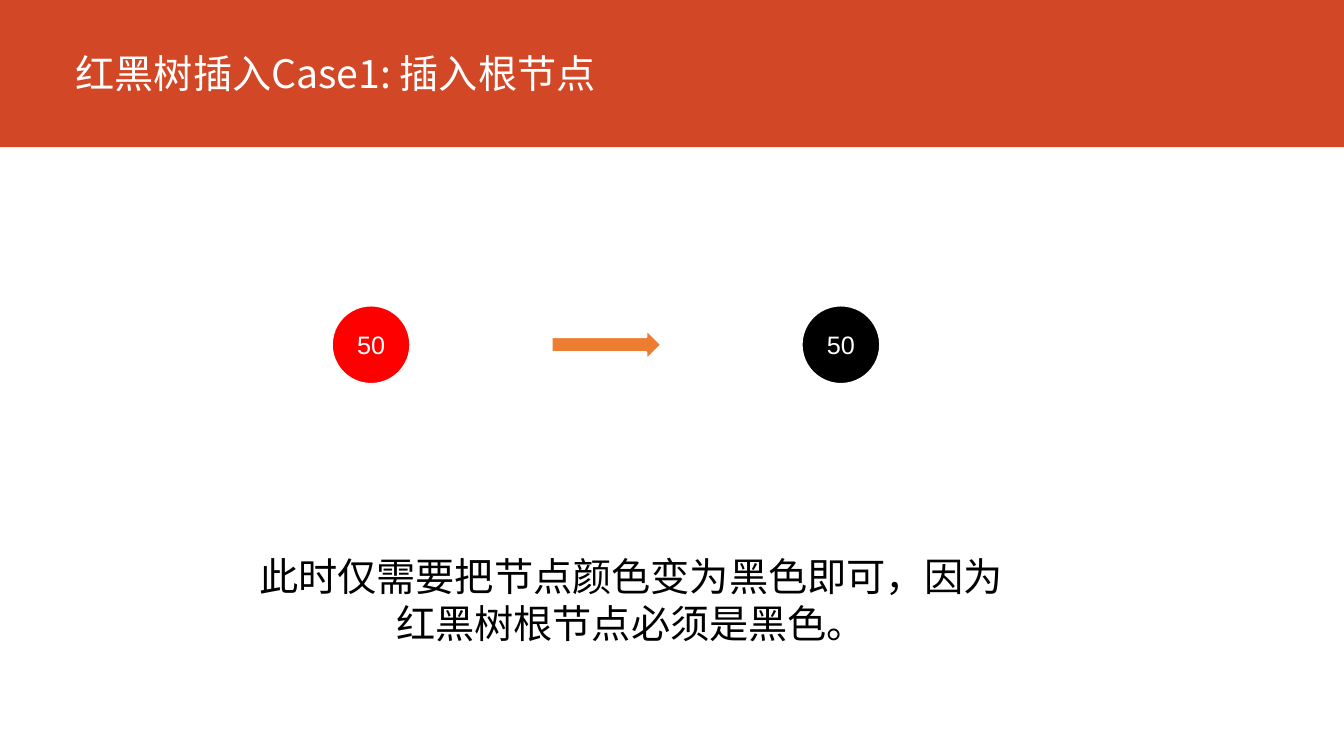
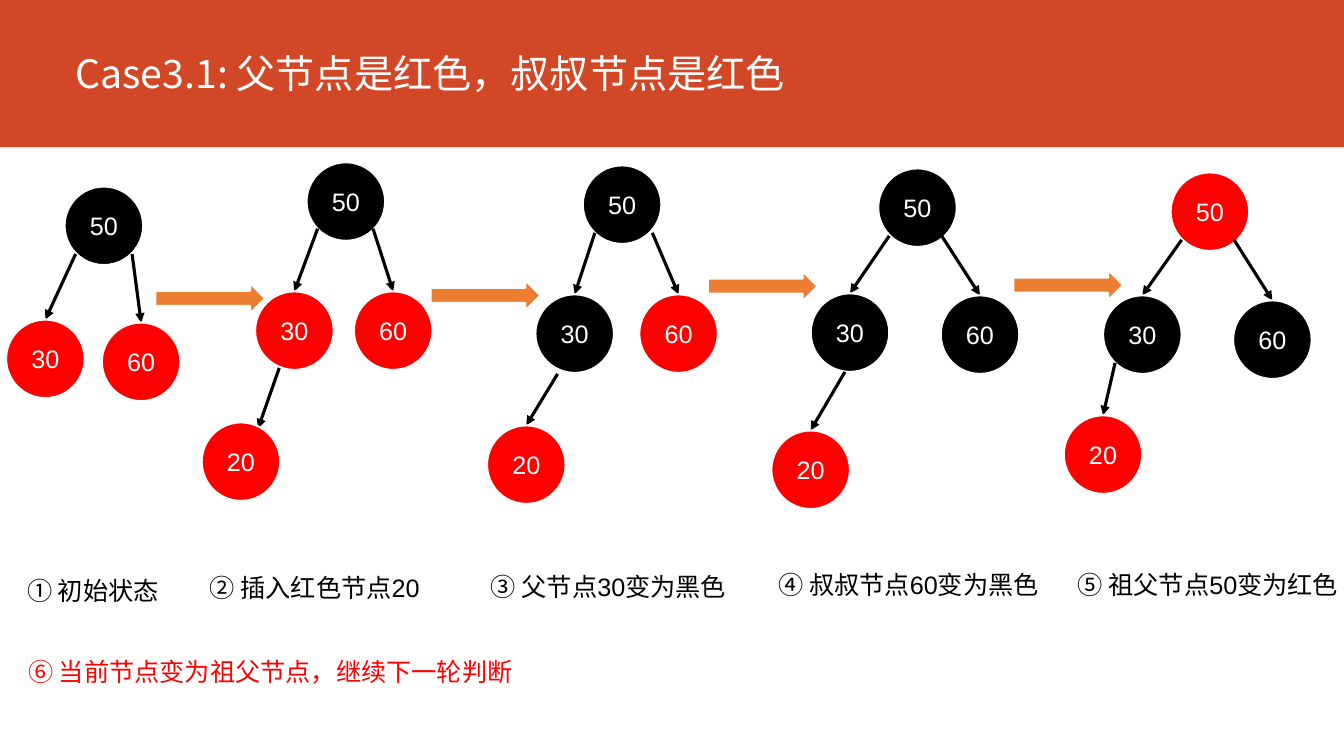
"""Red-black tree insertion: the root case and the red-uncle case."""
from lxml import etree
from pptx import Presentation
from pptx import util as u
from pptx.dml.color import RGBColor
from pptx.enum import shapes, text
from pptx.oxml.ns import qn

BAND, RED, BLACK, WHITE, ORANGE = "D24726", "FF0000", "000000", "FFFFFF", "ED7D31"
CJK = "Noto Sans CJK SC"
D = 0.78
ARROW_W, ARROW_H = 1.09, 0.3
KINDS = shapes.MSO_SHAPE


def add_shape(s, kind, x, y, w, h, fill, line=None):
    """Add a flat preset shape, sized in inches."""
    sp = s.shapes.add_shape(kind, *map(u.Inches, (x, y, w, h)))
    sp.shadow.inherit = False
    sp.fill.solid()
    sp.fill.fore_color.rgb = RGBColor.from_string(fill)
    if line:
        sp.line.color.rgb = RGBColor.from_string(line)
        sp.line.width = u.Pt(1.5)
    else:
        sp.line.fill.background()
    return sp


def write(sp, lines, size, color, align, anchor, font="Arial"):
    """Fill a shape with one paragraph per line."""
    tf = sp.text_frame
    tf.word_wrap = True
    tf.auto_size = text.MSO_AUTO_SIZE.NONE
    tf.vertical_anchor = anchor
    for i, line in enumerate(lines):
        p = tf.paragraphs[0] if i == 0 else tf.add_paragraph()
        p.alignment = align
        r = p.add_run()
        r.text = line
        r.font.size = u.Pt(size)
        r.font.name = font
        r.font.color.rgb = RGBColor.from_string(color)
        etree.SubElement(r.font._element, qn("a:ea")).set("typeface", CJK)
    return tf


LEFT, CENTER = text.PP_ALIGN.LEFT, text.PP_ALIGN.CENTER
TOP, MIDDLE, BOTTOM = text.MSO_ANCHOR.TOP, text.MSO_ANCHOR.MIDDLE, text.MSO_ANCHOR.BOTTOM

prs = Presentation()
prs.slide_width, prs.slide_height = u.Inches(13.33), u.Inches(7.5)
layout = prs.slide_layouts[5]

# Each node: value, left, top, colour, edge start and edge end (None for a root).
slides = [
    dict(
        title="红黑树插入Case1: 插入根节点", title_w=11.76,
        nodes=[("50", 3.29, 3.03, RED, None, None),
               ("50", 7.95, 3.03, BLACK, None, None)],
        arrows=[(5.47, 3.27)],
        notes=[(2.43, 5.43, 7.66, 1.04, 28, BLACK, CENTER,
                ["此时仅需要把节点颜色变为黑色即可，因为", "红黑树根节点必须是黑色。"])],
    ),
    dict(
        title="Case3.1: 父节点是红色，叔叔节点是红色", title_w=10.69,
        nodes=[
            ("50", 0.64, 1.85, BLACK, None, None),
            ("30", 0.06, 3.17, RED, (0.75, 2.52), None),
            ("60", 1.01, 3.2, RED, (1.31, 2.52), None),
            ("50", 3.04, 1.61, BLACK, None, None),
            ("30", 2.53, 2.89, RED, (3.15, 2.27), None),
            ("60", 3.51, 2.89, RED, (3.7, 2.27), None),
            ("20", 2, 4.19, RED, (2.77, 3.65), (2.56, 4.25)),
            ("50", 5.78, 1.64, BLACK, None, None),
            ("30", 5.31, 2.92, BLACK, (5.9, 2.31), None),
            ("60", 6.34, 2.92, RED, (6.47, 2.31), None),
            ("20", 4.83, 4.22, RED, (5.53, 3.71), None),
            ("50", 8.71, 1.67, BLACK, None, None),
            ("30", 8.04, 2.91, BLACK, (8.82, 2.34), None),
            ("60", 9.33, 2.93, BLACK, (9.34, 2.34), None),
            ("20", 7.65, 4.27, RED, (8.38, 3.69), None),
            ("50", 11.61, 1.71, RED, None, None),
            ("30", 10.94, 2.93, BLACK, (11.72, 2.38), None),
            ("60", 12.23, 2.98, BLACK, (12.24, 2.38), None),
            ("20", 10.55, 4.12, RED, (11.06, 3.6), None),
        ],
        arrows=[(1.54, 2.81), (4.27, 2.78), (7.02, 2.69), (10.05, 2.68)],
        notes=[(x, y, w, 0.4, 18, color, LEFT, [line]) for x, y, w, color, line in [
            (0.17, 5.66, 1.53, BLACK, "① 初始状态"),
            (1.98, 5.63, 2.32, BLACK, "② 插入红色节点20"),
            (4.77, 5.62, 2.57, BLACK, "③ 父节点30变为黑色"),
            (7.62, 5.6, 2.82, BLACK, "④ 叔叔节点60变为黑色"),
            (10.59, 5.6, 2.82, BLACK, "⑤ 祖父节点50变为红色"),
            (0.18, 6.46, 5.07, RED, "⑥ 当前节点变为祖父节点，继续下一轮判断"),
        ]],
    ),
]

for number, content in enumerate(slides):
    s = prs.slides.add_slide(layout)
    if number == 0:
        band = add_shape(s, KINDS.RECTANGLE, 0, 0, 13.33, 1.46, BAND)
        layout.shapes._spTree.insert(2, band._element)

    title = s.shapes.title
    title.left, title.top = u.Inches(0.65), u.Inches(0.38)
    title.width, title.height = u.Inches(content["title_w"]), u.Inches(0.63)
    tf = write(title, [content["title"]], 28, WHITE, LEFT, BOTTOM, CJK)
    tf.paragraphs[0].line_spacing = 0.9

    for value, x, y, color, start, end in content["nodes"]:
        if start:
            points = (*start, *(end or (x + D / 2, y)))
            edge = s.shapes.add_connector(shapes.MSO_CONNECTOR.STRAIGHT, *map(u.Inches, points))
            edge.line.color.rgb = RGBColor.from_string(BLACK)
            edge.line.width = u.Pt(2.25)
            etree.SubElement(edge.line._get_or_add_ln(), qn("a:tailEnd")).set("type", "triangle")
            etree.SubElement(edge._element.spPr, qn("a:effectLst"))
        node = add_shape(s, KINDS.OVAL, x, y, D, D, color, WHITE)
        write(node, [value], 18, WHITE, CENTER, MIDDLE)

    for x, y in content["arrows"]:
        add_shape(s, KINDS.RIGHT_ARROW, x, y, ARROW_W, ARROW_H, ORANGE, WHITE)

    for x, y, w, h, size, color, align, lines in content["notes"]:
        box = s.shapes.add_textbox(*map(u.Inches, (x, y, w, h)))
        write(box, lines, size, color, align, TOP)

prs.save("out.pptx")
